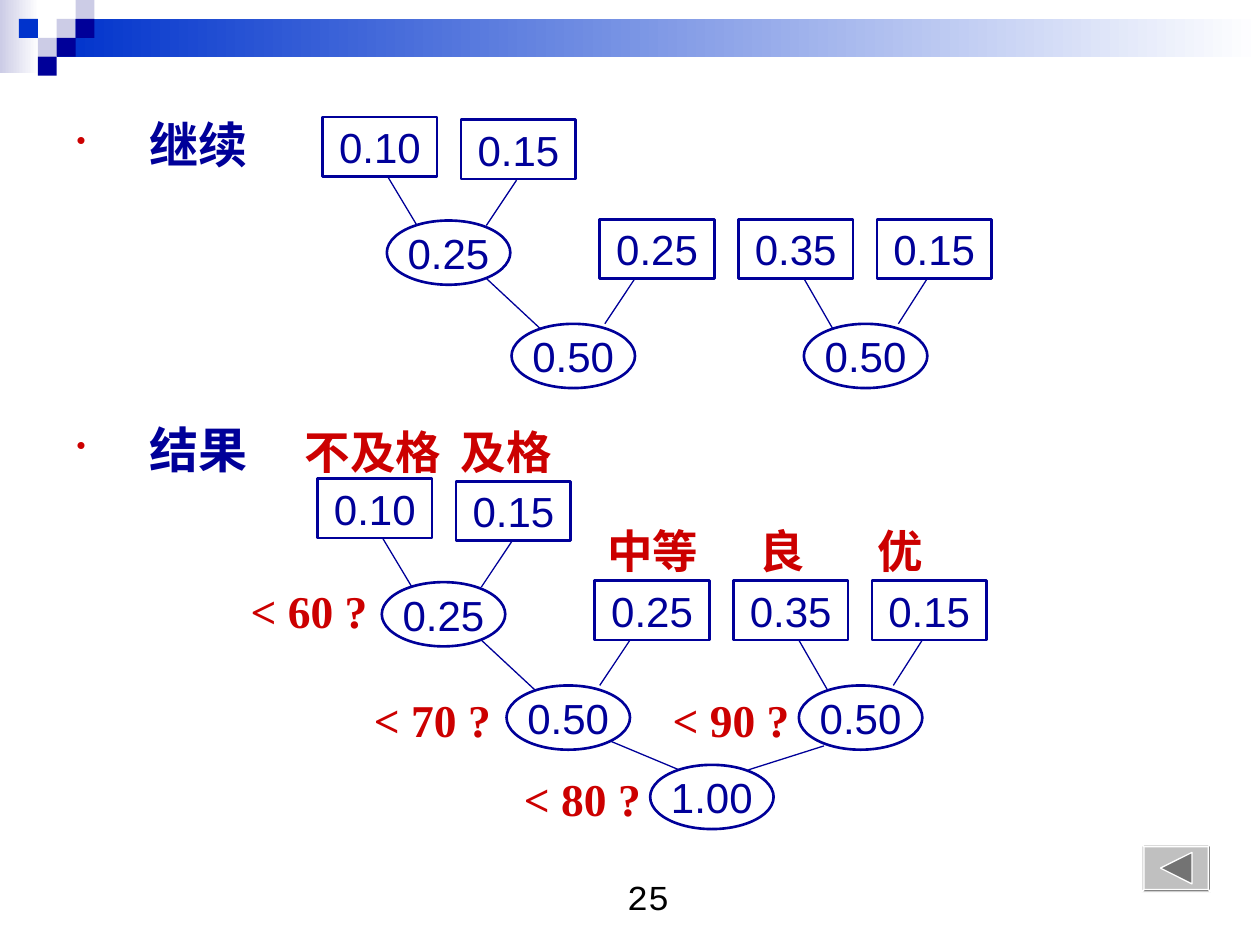
from lxml.etree import SubElement
from pptx import Presentation
from pptx.dml.color import RGBColor
from pptx.enum.shapes import MSO_CONNECTOR, MSO_SHAPE
from pptx.enum.text import MSO_ANCHOR, PP_ALIGN
from pptx.oxml.ns import qn
from pptx.util import Inches, Pt

COLORS = {
    "navy": "000099", "blue": "0033CC", "lavender": "CCCCE6", "white": "FFFFFF",
    "red": "CC0000", "black": "000000",
    "face": "C0C0C0", "light": "DADADA", "dark": "737373",
}
LEAF_W, LEAF_H, LEAF_STEP = 0.91, 0.47, 1.1
OVAL_W, OVAL_H = 0.98, 0.51
LEAVES = [("0.10", 0), ("0.15", 0.02), ("0.25", 0.81), ("0.35", 0.81), ("0.15", 0.81)]
OVALS = [("0.25", 0.51, 0.82), ("0.50", 1.5, 1.64), ("0.50", 3.82, 1.64)]
BRANCHES = [
    (0.51, 0.46, 0.75, 0.86), (1.54, 0.5, 1.3, 0.86),
    (1.3, 1.28, 1.73, 1.68), (2.48, 1.28, 2.24, 1.64),
    (3.82, 1.28, 4.05, 1.68), (4.8, 1.28, 4.57, 1.64),
]
ROOT = ("1.00", 2.64, 2.27)
ROOT_BRANCHES = [(2.32, 2.08, 2.87, 2.31), (4.02, 2.12, 3.42, 2.31)]
GRADES = [("不及格", -0.2, -0.48), ("及格", 1.04, -0.48),
          ("中等", 2.2, 0.3), ("良", 3.41, 0.3), ("优", 4.35, 0.3)]
TESTS = [("< 60 ?", -0.63, 0.78), ("< 70 ?", 0.35, 1.64),
         ("< 90 ?", 2.72, 1.64), ("< 80 ?", 1.54, 2.27)]


def rgb(name):
    return RGBColor.from_string(COLORS[name])


def style_runs(p, size, color, font="Arial", bold=False):
    for r in p.runs:
        r.font.size, r.font.name, r.font.bold = Pt(size), font, bold
        r.font.color.rgb = rgb(color)


def add_text(s, text, x, y, w, h, size, color, font="Arial", bold=False):
    tf = s.shapes.add_textbox(Inches(x), Inches(y), Inches(w), Inches(h)).text_frame
    tf.word_wrap = True
    p = tf.paragraphs[0]
    p.text = text
    style_runs(p, size, color, font, bold)
    return p


def add_block(s, x, y, w, h, fill, fade=False):
    """Borderless rectangle, solid or fading to white on the right."""
    sp = s.shapes.add_shape(MSO_SHAPE.RECTANGLE, Inches(x), Inches(y), Inches(w), Inches(h))
    sp.shadow.inherit = False
    sp.line.fill.background()
    if fade:
        sp.fill.gradient()
        sp.fill.gradient_angle = 0
        for stop, color, pos in zip(sp.fill.gradient_stops, (fill, "white"), (0, 1)):
            stop.color.rgb, stop.position = rgb(color), pos
    else:
        sp.fill.solid()
        sp.fill.fore_color.rgb = rgb(fill)


def add_header(s, x, y, w):
    add_block(s, x, y, 0.31, 0.58, "lavender", fade=True)
    add_block(s, x + 0.45, y + 0.15, w - 0.45, 0.3, "blue", fade=True)
    cell = 0.15
    for col, row, fill in [(3, 1, "lavender"), (4, 0, "lavender"), (4, 1, "navy"),
                           (2, 2, "lavender"), (1, 1, "blue"), (3, 2, "navy"),
                           (2, 3, "navy")]:
        add_block(s, x + col * cell, y + row * cell, cell, cell, fill)


def add_topics(s, x, y, w, h):
    p = add_text(s, "继续", x, y, w, h, 28, "navy", bold=True)
    second = s.shapes[-1].text_frame.add_paragraph()
    second.text = "结果"
    for topic in (p, second):
        pPr = topic._p.get_or_add_pPr()
        pPr.set("marL", str(Inches(0.58)))
        pPr.set("indent", str(-Inches(0.58)))
        topic.line_spacing = 1.05
        if topic is second:
            topic.space_before = Pt(139)
        SubElement(SubElement(pPr, qn("a:buClr")), qn("a:srgbClr")).set("val", COLORS["red"])
        SubElement(pPr, qn("a:buSzPct")).set("val", "55000")
        SubElement(pPr, qn("a:buChar")).set("char", "•")
        style_runs(topic, 28, "navy", bold=True)


def add_node(s, kind, text, x, y, w, h):
    sp = s.shapes.add_shape(kind, Inches(x), Inches(y), Inches(w), Inches(h))
    sp.shadow.inherit = False
    sp.fill.solid()
    sp.fill.fore_color.rgb = rgb("white")
    sp.line.color.rgb, sp.line.width = rgb("navy"), Pt(1.5)
    tf = sp.text_frame
    tf.margin_left = tf.margin_right = tf.margin_top = tf.margin_bottom = 0
    tf.word_wrap = False
    tf.vertical_anchor = MSO_ANCHOR.MIDDLE
    p = tf.paragraphs[0]
    p.text, p.alignment = text, PP_ALIGN.CENTER
    style_runs(p, 24, "navy")


def add_branch(s, x1, y1, x2, y2):
    line = s.shapes.add_connector(MSO_CONNECTOR.STRAIGHT, Inches(x1), Inches(y1),
                                  Inches(x2), Inches(y2))
    line.line.color.rgb, line.line.width = rgb("navy"), Pt(0.75)
    SubElement(line._element.spPr, qn("a:effectLst"))


def add_tree(s, x, y, ovals, branches):
    for x1, y1, x2, y2 in branches:
        add_branch(s, x + x1, y + y1, x + x2, y + y2)
    for i, (text, dy) in enumerate(LEAVES):
        add_node(s, MSO_SHAPE.RECTANGLE, text, x + i * LEAF_STEP, y + dy, LEAF_W, LEAF_H)
    for text, dx, dy in ovals:
        add_node(s, MSO_SHAPE.OVAL, text, x + dx, y + dy, OVAL_W, OVAL_H)


def add_decision_tree(s, x, y):
    add_tree(s, x, y, OVALS + [ROOT], BRANCHES + ROOT_BRANCHES)
    for text, dx, dy in GRADES:
        add_text(s, text, x + dx, y + dy, 1.34, 0.54, 26, "red", bold=True)
    for text, dx, dy in TESTS:
        add_text(s, text, x + dx, y + dy, 1.34, 0.54, 26, "red", "Times New Roman", True)


def add_back_button(s, x, y, w, h):
    """Bevelled button with a triangle pointing left."""
    b = 0.02
    outer = [(x, y), (x + w, y), (x + w, y + h), (x, y + h)]
    inner = [(x + b, y + b), (x + w - b, y + b), (x + w - b, y + h - b), (x + b, y + h - b)]
    cx, cy, half = x + w / 2, y + h / 2, 0.125
    parts = [(outer, "face")]
    for i, fill in enumerate(("light", "dark", "dark", "light")):
        j = (i + 1) % 4
        parts.append(([outer[i], outer[j], inner[j], inner[i]], fill))
    parts.append(([(cx - half, cy), (cx + half, cy - half), (cx + half, cy + half)], "dark"))
    for points, fill in parts:
        (x0, y0), *rest = [(Inches(px), Inches(py)) for px, py in points]
        builder = s.shapes.build_freeform(x0, y0)
        builder.add_line_segments(rest, close=True)
        sp = builder.convert_to_shape()
        sp.shadow.inherit = False
        sp.fill.solid()
        sp.fill.fore_color.rgb = rgb(fill)
        sp.line.color.rgb, sp.line.width = rgb("white"), Pt(0.75)


def main():
    prs = Presentation()
    prs.slide_width, prs.slide_height = Inches(10), Inches(7.5)
    s = prs.slides.add_slide(prs.slide_layouts[6])
    add_header(s, 0, 0, 10)
    add_topics(s, 0.51, 0.84, 9, 5.87)
    add_tree(s, 2.56, 0.93, OVALS, BRANCHES)
    add_decision_tree(s, 2.52, 3.8)
    add_back_button(s, 9.06, 6.7, 0.55, 0.38)
    number = add_text(s, "25", 3.98, 6.9, 2.33, 0.52, 20, "black", "Courier New")
    number.alignment = PP_ALIGN.CENTER
    prs.save("out.pptx")


if __name__ == "__main__":
    main()
